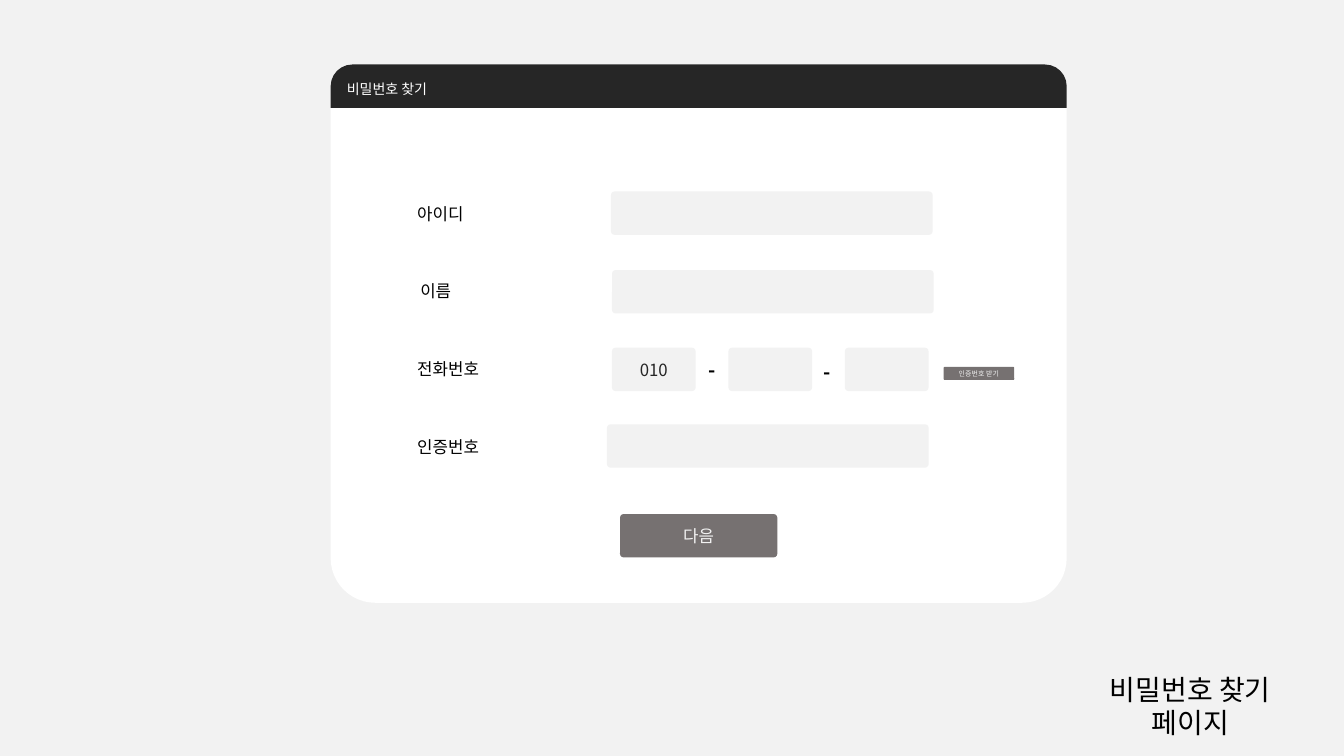
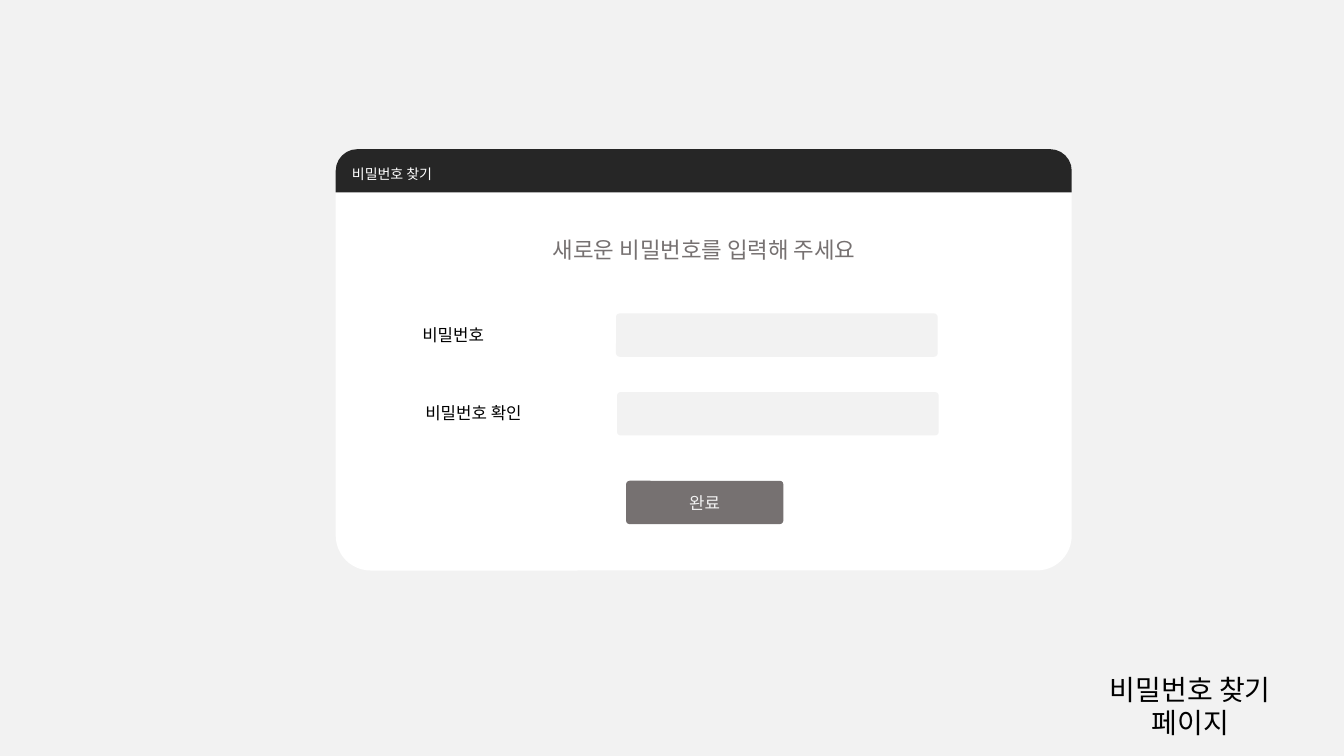
from dataclasses import dataclass

from lxml import etree
from pptx import Presentation
from pptx.dml.color import RGBColor
from pptx.enum.shapes import MSO_SHAPE
from pptx.enum.text import MSO_ANCHOR, MSO_AUTO_SIZE, PP_ALIGN
from pptx.oxml.ns import qn
from pptx.shapes.autoshape import Shape
from pptx.slide import Slide
from pptx.text.text import TextFrame
from pptx.util import Inches, Pt

ROUND = MSO_SHAPE.ROUNDED_RECTANGLE
TOP_ROUND = MSO_SHAPE.ROUND_2_SAME_RECTANGLE
MIDDLE = MSO_ANCHOR.MIDDLE
TOP = MSO_ANCHOR.TOP
FIT = MSO_AUTO_SIZE.SHAPE_TO_FIT_TEXT
LEFT = PP_ALIGN.LEFT
CENTER = PP_ALIGN.CENTER

FONT = "Noto Sans CJK KR"
COLORS = {
    "page": "F2F2F2",
    "card": "FFFFFF",
    "bar": "262626",
    "gray": "767171",
    "ink": "000000",
}
CURVE = 0.083
ROW_H = 0.43
CARD_W = 7.3
FIELD_W = 3.19
PHONE_W = 0.83
PHONE_X = 6.07
PHONE_GAP = 1.155
HEADING = "비밀번호 찾기"


@dataclass(frozen=True)
class Style:
    size: int = 12
    color: str = "ink"
    align: PP_ALIGN = LEFT
    bold: bool = False


@dataclass(frozen=True)
class Box:
    x: float
    y: float
    w: float
    h: float = ROW_H


@dataclass(frozen=True)
class Label:
    text: str
    box: Box
    style: Style = Style()


@dataclass(frozen=True)
class Button:
    text: str
    box: Box
    size: int = 12


@dataclass(frozen=True)
class Page:
    card: Box
    fields: tuple[Box, ...]
    labels: tuple[Label, ...]
    buttons: tuple[Button, ...]
    phone: float | None = None


DASH = Style(14, bold=True)
PAGES = (
    Page(
        Box(3.28, 0.64, CARD_W, 5.34),
        (
            Box(6.06, 1.9, FIELD_W),
            Box(6.07, 2.68, FIELD_W),
            Box(6.02, 4.21, FIELD_W),
        ),
        (
            Label("아이디", Box(4.04, 1.97, 0.77, 0.3)),
            Label("이름", Box(4.07, 2.74, 0.77, 0.3)),
            Label("전화번호", Box(4.04, 3.51, 1.44, 0.3)),
            Label("인증번호", Box(4.04, 4.28, 1.44, 0.3)),
            Label("-", Box(6.93, 3.5, 0.33, 0.34), DASH),
            Label("-", Box(8.07, 3.52, 0.33, 0.34), DASH),
        ),
        (
            Button("인증번호 받기", Box(9.36, 3.64, 0.7, 0.13), 5),
            Button("다음", Box(6.15, 5.1, 1.56)),
        ),
        phone=3.45,
    ),
    Page(
        Box(3.33, 1.48, CARD_W, 4.18),
        (Box(6.11, 3.11, FIELD_W), Box(6.12, 3.89, FIELD_W)),
        (
            Label("비밀번호", Box(4.09, 3.17, 0.92, 0.3)),
            Label("비밀번호 확인", Box(4.12, 3.95, 1.44, 0.3)),
            Label(
                "새로운 비밀번호를 입력해 주세요",
                Box(4.18, 2.29, 5.61, 0.37),
                Style(16, "gray", CENTER),
            ),
        ),
        (Button("완료", Box(6.21, 4.77, 1.56)),),
    ),
)


def tint(name: str) -> RGBColor:
    return RGBColor.from_string(COLORS[name])


def place(box: Box) -> tuple[int, int, int, int]:
    return Inches(box.x), Inches(box.y), Inches(box.w), Inches(box.h)


def write(frame: TextFrame, lines: tuple[str, ...], style: Style) -> None:
    frame.word_wrap = True
    for i, line in enumerate(lines):
        para = frame.add_paragraph() if i else frame.paragraphs[0]
        para.alignment = style.align
        run = para.add_run()
        run.text = line
        font = run.font
        font.size = Pt(style.size)
        font.bold = style.bold
        font.name = FONT
        font.color.rgb = tint(style.color)
        east = etree.SubElement(run._r.get_or_add_rPr(), qn("a:ea"))
        east.set("typeface", FONT)


def add_text(slide: Slide, box: Box, lines: tuple[str, ...], style: Style) -> None:
    frame = slide.shapes.add_textbox(*place(box)).text_frame
    frame.vertical_anchor = TOP
    write(frame, lines, style)
    frame.auto_size = FIT


def add_box(
    slide: Slide,
    box: Box,
    fill: str,
    kind: MSO_SHAPE = ROUND,
    curve: float = CURVE,
) -> Shape:
    shape = slide.shapes.add_shape(kind, *place(box))
    shape.shadow.inherit = False
    shape.fill.solid()
    shape.fill.fore_color.rgb = tint(fill)
    shape.line.fill.background()
    shape.adjustments[0] = curve
    shape.text_frame.vertical_anchor = MIDDLE
    return shape


def add_card(slide: Slide, card: Box) -> None:
    add_box(slide, card, "card")
    head = Box(card.x, card.y, card.w)
    bar = add_box(slide, head, "bar", TOP_ROUND, 0.5)
    write(bar.text_frame, (HEADING,), Style(10, "card"))


def add_phone(slide: Slide, y: float) -> None:
    for i, text in enumerate(("010", "", "")):
        cell = add_box(slide, Box(PHONE_X + i * PHONE_GAP, y, PHONE_W), "page")
        if text:
            write(cell.text_frame, (text,), Style(12, "bar", CENTER))


def add_page(slide: Slide, page: Page) -> None:
    add_text(
        slide, Box(10.33, 6.62, 2.95, 0.77), (HEADING, "페이지"), Style(20, align=CENTER)
    )
    add_card(slide, page.card)
    for field in page.fields:
        add_box(slide, field, "page")
    if page.phone is not None:
        add_phone(slide, page.phone)
    for label in page.labels:
        add_text(slide, label.box, (label.text,), label.style)
    for button in page.buttons:
        shape = add_box(slide, button.box, "gray")
        write(shape.text_frame, (button.text,), Style(button.size, "page", CENTER))


def main() -> None:
    deck = Presentation()
    deck.slide_width = Inches(13.33)
    deck.slide_height = Inches(7.5)
    back = deck.slide_master.background.fill
    back.solid()
    back.fore_color.rgb = tint("page")
    blank = deck.slide_layouts[6]
    for page in PAGES:
        add_page(deck.slides.add_slide(blank), page)
    deck.save("out.pptx")


if __name__ == "__main__":
    main()
